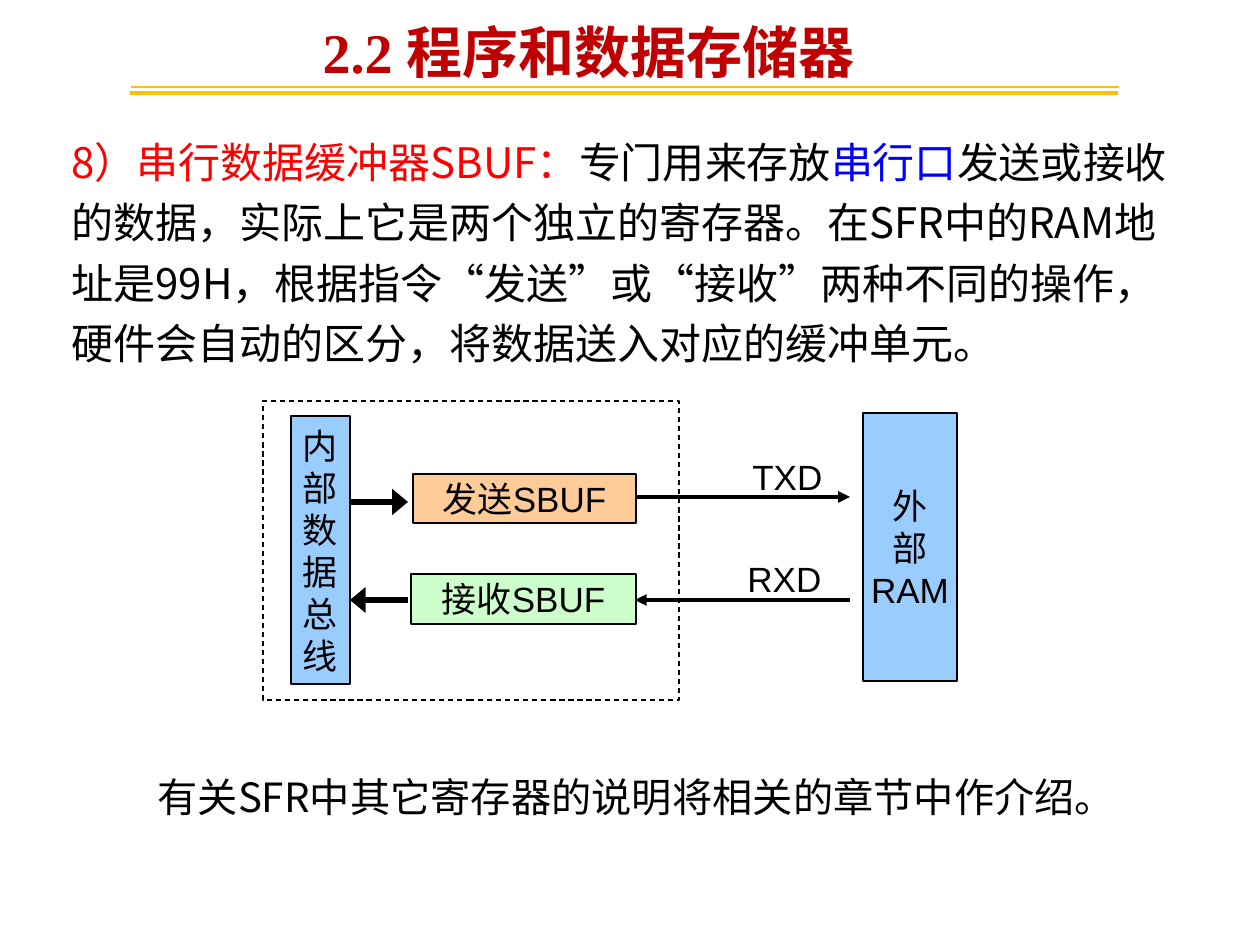
"""Build the slide on the serial data buffer SBUF."""
from lxml import etree
from pptx import Presentation
from pptx import util as u
from pptx.dml.color import RGBColor
from pptx.enum import dml, shapes, text
from pptx.oxml.ns import qn

PX = 914400 / 126
COLORS = {"gold": "FFC000", "title": "C00000", "red": "FF0000", "blue": "0000FF", "black": "000000",
          "bus": "99CCFF", "send": "FFCC99", "receive": "CCFFCC"}
SANS = "Noto Sans CJK SC"


def write(para, words, size=20, font="Arial", color="black", bold=False):
    span = para.add_run()
    span.text = words
    span.font.size = u.Pt(size)
    span.font.name = font
    span.font.bold = bold
    span.font.color.rgb = RGBColor.from_string(COLORS[color])
    etree.SubElement(span.font._element, qn("a:ea"), typeface=SANS)


def draw_line(start, end, color, width, head_width=None):
    points = [round(n * PX) for n in start + end]
    line = page.shapes.add_connector(shapes.MSO_CONNECTOR.STRAIGHT, *points)
    line.line.color.rgb = RGBColor.from_string(COLORS[color])
    line.line.width = u.Pt(width)
    etree.SubElement(line._element.spPr, qn("a:effectLst"))
    if head_width:
        etree.SubElement(line.line._get_or_add_ln(), qn("a:tailEnd"),
                         type="triangle", w=head_width, len="med")


deck = Presentation()
deck.slide_width, deck.slide_height = u.Inches(10), u.Inches(7.5)
page = deck.slides.add_slide(deck.slide_layouts[1])
title, body = page.placeholders

for holder, place, spacing in [(title, (310, -6, 702, 92), 1.25), (body, (59, 120, 1137, 218), 1.2)]:
    holder.left, holder.top, holder.width, holder.height = [round(n * PX) for n in place]
    holder.text_frame.auto_size = text.MSO_AUTO_SIZE.NONE
    holder.text_frame.vertical_anchor = text.MSO_ANCHOR.TOP
    para = holder.text_frame.paragraphs[0]
    para.alignment = text.PP_ALIGN.LEFT
    para.line_spacing = spacing
    para.space_before = u.Pt(0)

write(title.text_frame.paragraphs[0], "2.2 程序和数据存储器", size=32,
      font="Times New Roman", color="title", bold=True)

para = body.text_frame.paragraphs[0]
properties = para._p.get_or_add_pPr()
properties.set("marL", "0")
properties.set("indent", "0")
etree.SubElement(properties, qn("a:buNone"))
for words, color in [
    ("8）串行数据缓冲器SBUF：", "red"),
    ("专门用来存放", "black"),
    ("串行口", "blue"),
    ("发送或接收的数据，实际上它是两个独立的寄存器。在SFR中的RAM地址是99H，根据指令“发送”或“接收”"
     "两种不同的操作，硬件会自动的区分，将数据送入对应的缓冲单元。", "black"),
]:
    write(para, words, size=24, font=SANS, color=color)

draw_line((130, 93), (1118, 93), "gold", 2.25)
draw_line((131, 87), (1119, 87), "gold", 1.5)

for lines, place, fill in [
    (["发送SBUF"], (413, 474, 223, 49), "send"),
    (["接收SBUF"], (411, 574, 225, 50), "receive"),
    ([], (263, 401, 416, 299), None),
    (list("内部数据总线"), (291, 416, 59, 268), "bus"),
    (["外", "部", "RAM"], (863, 413, 94, 268), "bus"),
]:
    box = page.shapes.add_shape(shapes.MSO_SHAPE.RECTANGLE, *[round(n * PX) for n in place])
    box.shadow.inherit = False
    box.line.color.rgb = RGBColor.from_string(COLORS["black"])
    box.line.width = u.Pt(0.75)
    if fill:
        box.fill.solid()
        box.fill.fore_color.rgb = RGBColor.from_string(COLORS[fill])
    else:
        box.fill.background()
        box.line.dash_style = dml.MSO_LINE.DASH
    frame = box.text_frame
    frame.word_wrap = False
    frame.vertical_anchor = text.MSO_ANCHOR.MIDDLE
    for index, words in enumerate(lines):
        para = frame.add_paragraph() if index else frame.paragraphs[0]
        para.alignment = text.PP_ALIGN.CENTER
        write(para, words)

for start, end, width, head_width in [
    ((350, 502), (408, 502), 3, "lg"),
    ((408, 600), (350, 600), 3, "lg"),
    ((635, 497), (850, 497), 2.25, "med"),
    ((850, 600), (635, 600), 2.25, "med"),
]:
    draw_line(start, end, "black", width, head_width)

for words, place, size, font in [
    ("TXD", (740, 449, 103, 54), 20, "Arial"),
    ("RXD", (735, 551, 103, 54), 20, "Arial"),
    ("有关SFR中其它寄存器的说明将相关的章节中作介绍。", (145, 766, 983, 62), 23, SANS),
]:
    label = page.shapes.add_textbox(*[round(n * PX) for n in place])
    label.text_frame.word_wrap = True
    write(label.text_frame.paragraphs[0], words, size=size, font=font)

deck.save("out.pptx")
